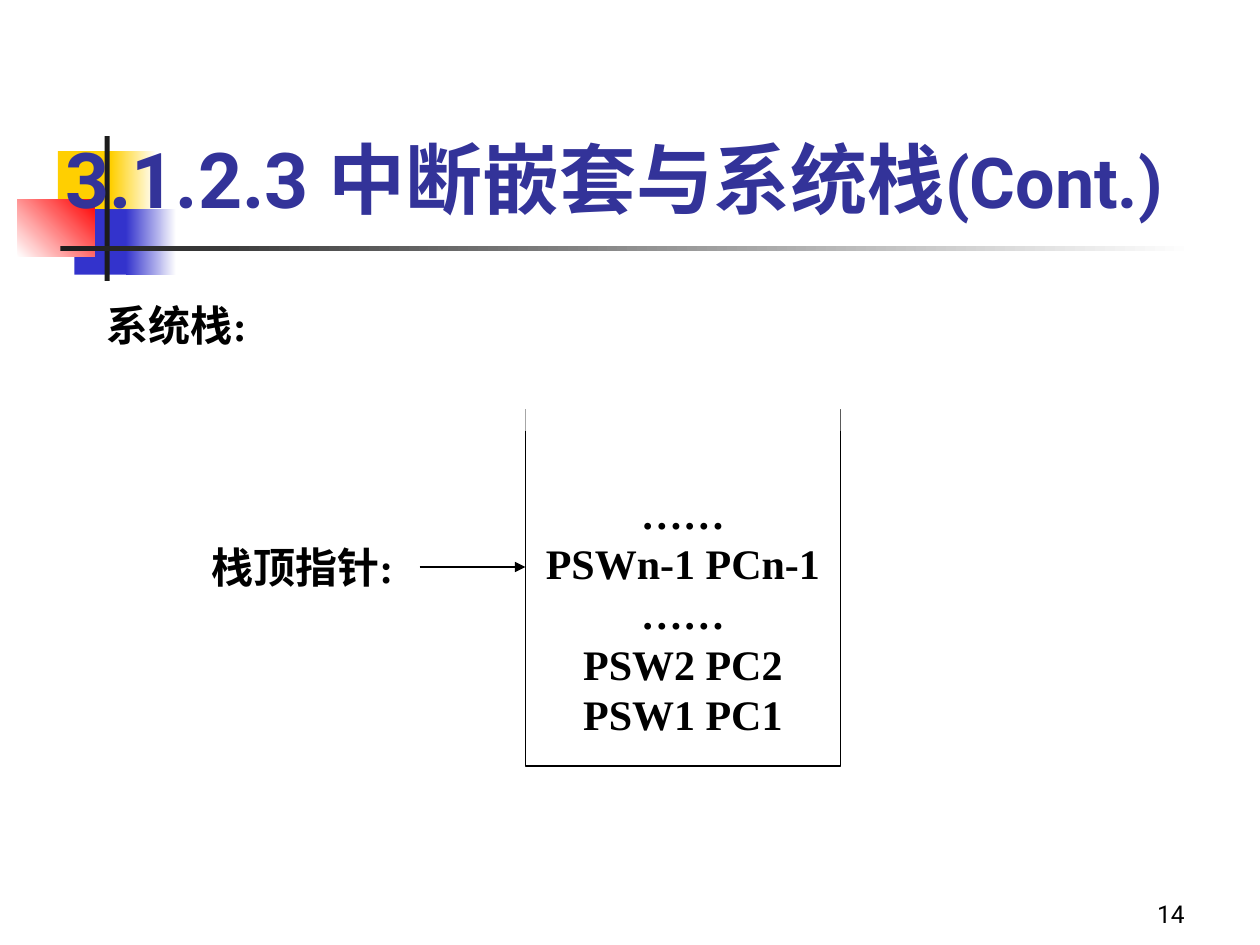
from lxml import etree
from pptx import Presentation
from pptx.dml.color import RGBColor
from pptx.enum import shapes, text
from pptx.oxml import ns
from pptx.util import Inches, Pt

YELLOW = RGBColor(0xFF, 0xCF, 0x01)
BLUE = RGBColor(0x33, 0x33, 0xCC)
RED = RGBColor(0xFF, 0, 0)
DARK = RGBColor(0x1C, 0x1C, 0x1C)
TITLE = RGBColor(0x33, 0x33, 0x99)
BLACK = RGBColor(0, 0, 0)
WHITE = RGBColor(0xFF, 0xFF, 0xFF)
SANS, SERIF = "Roboto", "Times New Roman"


def add_rect(s, box, color, end=None, angle=0):
    """Add a borderless rectangle, with a gradient when an end colour is given."""
    sp = s.shapes.add_shape(shapes.MSO_SHAPE.RECTANGLE, *map(Inches, box))
    sp.shadow.inherit = False
    sp.line.fill.background()
    if end is None:
        sp.fill.solid()
        sp.fill.fore_color.rgb = color
    else:
        sp.fill.gradient()
        sp.fill.gradient_angle = angle
        for stop, rgb in zip(sp.fill.gradient_stops, (color, end)):
            stop.color.rgb = rgb
    return sp


def add_run(p, words, size, font=SERIF, color=BLACK, bold=True):
    """Append one formatted run to a paragraph."""
    r = p.add_run()
    r.text = words
    r.font.size, r.font.name, r.font.bold = Pt(size), font, bold
    r.font.color.rgb = color


def add_text(s, box, anchor=text.MSO_ANCHOR.TOP):
    """Add a wrapping text box and return its first paragraph."""
    tf = s.shapes.add_textbox(*map(Inches, box)).text_frame
    tf.word_wrap = True
    tf.vertical_anchor = anchor
    return tf.paragraphs[0]


def add_ornament(s, left, top):
    """Place the coloured blocks and crossing bars of the title."""
    parts = [
        ((0.32, 0.12, 0.48, 0.52), YELLOW),
        ((0.74, 0.12, 0.36, 0.52), YELLOW, WHITE),
        ((0.45, 0.58, 0.46, 0.52), BLUE),
        ((0.86, 0.58, 0.4, 0.52), BLUE, WHITE),
        ((0, 0.5, 0.61, 0.46), WHITE, RED, 45),
        ((0.69, 0, 0.04, 1.15), DARK),
        ((0.34, 0.87, 9, 0.04), DARK, WHITE),
    ]
    for (x, y, w, h), *colors in parts:
        add_rect(s, (left + x, top + y, w, h), *colors)


def add_title(s, box):
    """Place the heading."""
    p = add_text(s, box, text.MSO_ANCHOR.BOTTOM)
    add_run(p, "3.1.2.3 中断嵌套与系统栈", 44, SANS, TITLE)
    add_run(p, "(Cont.)", 40, SANS, TITLE)


def add_stack(s, box):
    """Place the open-topped stack and its entries."""
    left, top, width, height = box
    sp = add_rect(s, box, WHITE)
    sp.line.color.rgb = BLACK
    sp.line.width = Pt(0.75)
    tf = sp.text_frame
    tf.word_wrap = False
    tf.vertical_anchor = text.MSO_ANCHOR.MIDDLE
    tf.margin_top = Inches(0.45)
    entries = ["……", "PSWn-1 PCn-1", "……", "PSW2 PC2", "PSW1 PC1"]
    for i, entry in enumerate(entries):
        p = tf.add_paragraph() if i else tf.paragraphs[0]
        p.alignment = text.PP_ALIGN.CENTER
        add_run(p, entry, 24)
    add_rect(s, (left, top - 0.25, width, 0.42), WHITE)


def add_arrow(s, x1, x2, y):
    """Place the horizontal arrow that points to the stack top."""
    line = s.shapes.add_connector(
        shapes.MSO_CONNECTOR.STRAIGHT, *map(Inches, (x1, y, x2, y)))
    line.line.color.rgb = BLACK
    line.line.width = Pt(0.75)
    etree.SubElement(line.line._get_or_add_ln(), ns.qn("a:tailEnd"), type="triangle")
    etree.SubElement(line._element.spPr, ns.qn("a:effectLst"))


def add_page_number(s, box):
    """Place the page number at the lower right."""
    p = add_text(s, box, text.MSO_ANCHOR.BOTTOM)
    p.alignment = text.PP_ALIGN.RIGHT
    add_run(p, "14", 14, SANS, bold=False)


def main():
    """Build and save the slide."""
    prs = Presentation()
    prs.slide_width, prs.slide_height = Inches(10), Inches(7.5)
    s = prs.slides.add_slide(prs.slide_layouts[6])
    add_ornament(s, 0.14, 1.08)
    add_title(s, (0.42, 0.58, 9.25, 1.25))
    add_stack(s, (4.17, 3.25, 2.5, 2.83))
    add_arrow(s, 3.33, 4.17, 4.5)
    add_run(add_text(s, (1.58, 4.25, 1.58, 0.9)), "栈顶指针:", 24)
    add_run(add_text(s, (0.75, 2.33, 1.58, 0.5)), "系统栈:", 24)
    add_page_number(s, (7.42, 6.92, 2.08, 0.5))
    prs.save("out.pptx")


if __name__ == "__main__":
    main()
